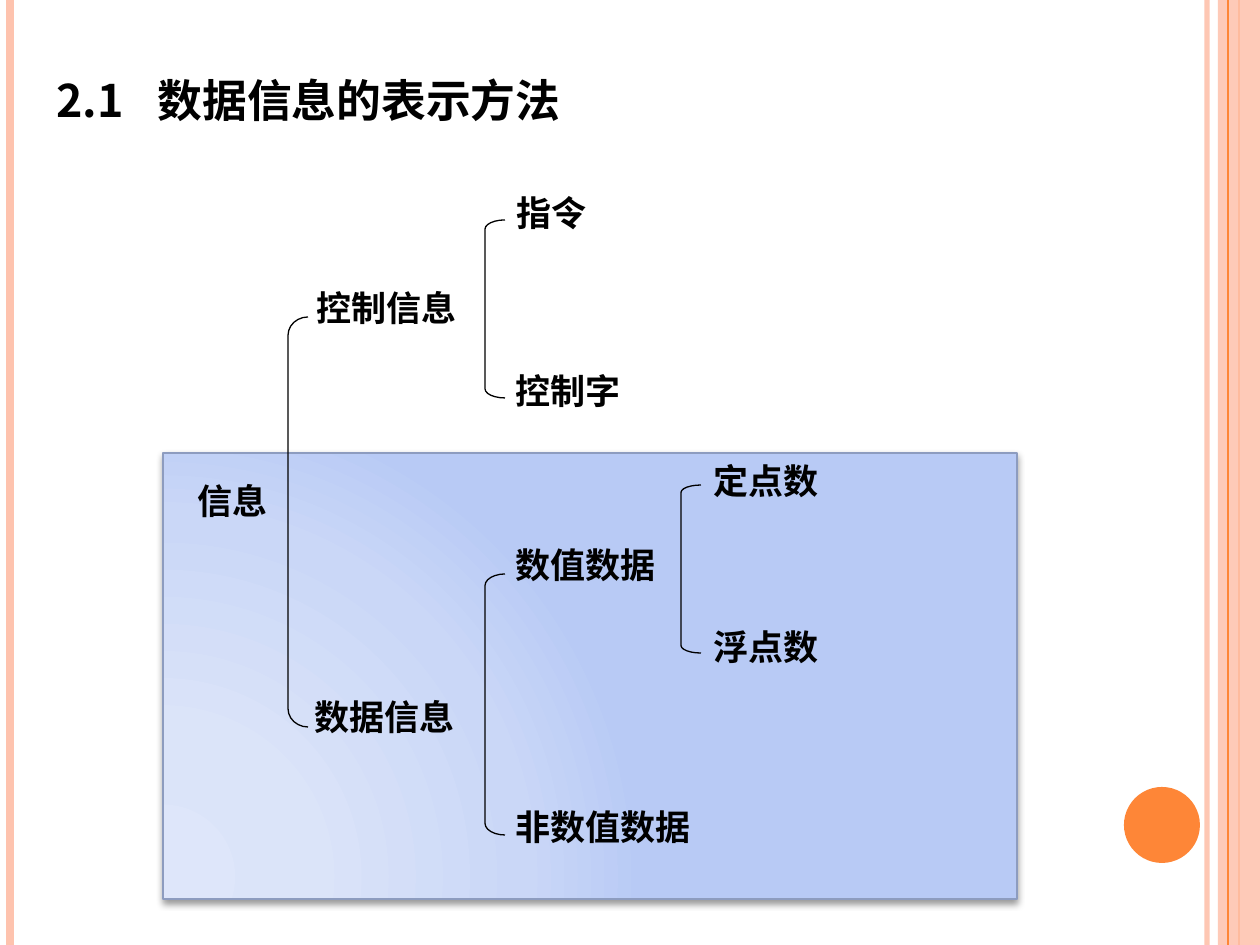
"""Build the slide that classifies information as a bracketed tree."""
from dataclasses import dataclass
from typing import Any

import pptx
import pptx.dml.color
import pptx.enum.shapes
import pptx.enum.text
import pptx.oxml
import pptx.oxml.ns
import pptx.util
from lxml import etree

PX = 914400 / 126
WIDTH, HEIGHT = 1260, 945
NS = 'xmlns:a="http://schemas.openxmlformats.org/drawingml/2006/main"'
SHAPE = pptx.enum.shapes.MSO_SHAPE
COLORS = {"ink": "000000", "peach": "FEC3AE", "orange": "FE8637", "panel_line": "8D9CBF"}
PANEL_STOPS = {0: "DEE6FA", 30: "DBE4F9", 75: "CAD7F7", 100: "B8CAF5"}
FONT_CJK = "Noto Sans CJK SC"
LABEL_FORMAT = {"name": "Times New Roman", "size": pptx.util.Pt(20), "bold": True}
TITLE_FORMAT = {"name": FONT_CJK, "size": pptx.util.Pt(32), "bold": True}


@dataclass
class Label:
    text: str
    x: int
    y: int
    w: int


@dataclass
class Bracket:
    x: int
    y: int
    h: int
    curve: float


@dataclass
class Stripe:
    x: int
    color: str
    width: float
    alpha: int = 100


LABELS = [
    Label("信息", 185, 473, 113),
    Label("控制信息", 304, 280, 186),
    Label("数据信息", 302, 689, 238),
    Label("数值数据", 503, 537, 186),
    Label("非数值数据", 503, 799, 248),
    Label("定点数", 701, 453, 207),
    Label("浮点数", 701, 619, 186),
    Label("指令", 504, 185, 217),
    Label("控制字", 503, 363, 176),
]
BRACKETS = [
    Bracket(681, 485, 168, 0.375),
    Bracket(485, 574, 261, 0.583),
    Bracket(485, 220, 178, 0.458),
    Bracket(288, 317, 410, 0.917),
]
OUTER_STRIPES = [
    Stripe(1207, "peach", 3, 93),
    Stripe(10, "peach", 4.5),
    Stripe(1239, "orange", 1.5),
]
BAND_STRIPE = Stripe(1228, "orange", 0.75)


def px(*values: int) -> list[int]:
    return [round(v * PX) for v in values]


def rgb(name: str) -> pptx.dml.color.RGBColor:
    return pptx.dml.color.RGBColor.from_string(COLORS[name])


def set_alpha(parent: Any, percent: int) -> None:
    color = next(parent.iter(pptx.oxml.ns.qn("a:srgbClr")))
    etree.SubElement(color, pptx.oxml.ns.qn("a:alpha")).set("val", str(percent * 1000))


def format_run(r: Any, values: dict[str, Any]) -> None:
    for key, value in values.items():
        setattr(r.font, key, value)
    r.font.color.rgb = rgb("ink")
    ea = etree.SubElement(r.font._element, pptx.oxml.ns.qn("a:ea"))
    ea.set("typeface", FONT_CJK)


def add_stripe(s: Any, stripe: Stripe) -> None:
    kind = pptx.enum.shapes.MSO_CONNECTOR.STRAIGHT
    line = s.shapes.add_connector(kind, *px(stripe.x, 0, stripe.x, HEIGHT))
    line.line.color.rgb = rgb(stripe.color)
    line.line.width = pptx.util.Pt(stripe.width)
    sp_pr = line._element.spPr
    if stripe.alpha < 100:
        set_alpha(sp_pr, stripe.alpha)
    etree.SubElement(sp_pr, pptx.oxml.ns.qn("a:effectLst"))


def add_solid(s: Any, kind: Any, box: tuple[int, ...], color: str) -> Any:
    sp = s.shapes.add_shape(kind, *px(*box))
    sp.shadow.inherit = False
    sp.fill.solid()
    sp.fill.fore_color.rgb = rgb(color)
    sp.line.fill.background()
    return sp


def add_panel(s: Any) -> None:
    sp = add_solid(s, SHAPE.RECTANGLE, (163, 453, 854, 446), "peach")
    sp.line.color.rgb = rgb("panel_line")
    sp.line.width = pptx.util.Pt(1)
    stops = "".join(
        f'<a:gs pos="{pos * 1000}"><a:srgbClr val="{color}"/></a:gs>'
        for pos, color in PANEL_STOPS.items()
    )
    gradient = pptx.oxml.parse_xml(
        f'<a:gradFill {NS} rotWithShape="1"><a:gsLst>{stops}</a:gsLst><a:path path="circle">'
        '<a:fillToRect l="5000" t="100000" r="120000" b="10000"/></a:path></a:gradFill>'
    )
    shadow = pptx.oxml.parse_xml(
        f'<a:outerShdw {NS} blurRad="50800" dist="25400" dir="5400000" rotWithShape="0">'
        f'<a:srgbClr val="{COLORS["ink"]}"><a:alpha val="40000"/></a:srgbClr></a:outerShdw>'
    )
    sp_pr = sp._element.spPr
    sp_pr.replace(sp_pr.find(pptx.oxml.ns.qn("a:solidFill")), gradient)
    sp_pr.find(pptx.oxml.ns.qn("a:effectLst")).append(shadow)


def add_label(s: Any, label: Label) -> None:
    tf = s.shapes.add_textbox(*px(label.x, label.y, label.w, 70)).text_frame
    tf.word_wrap = True
    r = tf.paragraphs[0].add_run()
    r.text = label.text
    format_run(r, LABEL_FORMAT)


def add_bracket(s: Any, bracket: Bracket) -> None:
    sp = s.shapes.add_shape(SHAPE.LEFT_BRACKET, *px(bracket.x, bracket.y, 20, bracket.h))
    sp.shadow.inherit = False
    sp.adjustments[0] = bracket.curve
    sp.fill.background()
    sp.line.color.rgb = rgb("ink")
    sp.line.width = pptx.util.Pt(0.75)


def fill_title(s: Any) -> None:
    sp = s.shapes.title
    sp.left, sp.top, sp.width, sp.height = px(44, 45, 1150, 90)
    tf = sp.text_frame
    tf.vertical_anchor = pptx.enum.text.MSO_ANCHOR.BOTTOM
    p = tf.paragraphs[0]
    p.alignment = pptx.enum.text.PP_ALIGN.LEFT
    tabs = etree.SubElement(p._p.get_or_add_pPr(), pptx.oxml.ns.qn("a:tabLst"))
    tab = etree.SubElement(tabs, pptx.oxml.ns.qn("a:tab"))
    tab.set("pos", str(px(101)[0]))
    tab.set("algn", "l")
    r = p.add_run()
    r.text = "2.1\t数据信息的表示方法"
    format_run(r, TITLE_FORMAT)
    r.font._element.set("cap", "small")


def main() -> None:
    prs = pptx.Presentation()
    prs.slide_width, prs.slide_height = px(WIDTH, HEIGHT)
    s = prs.slides.add_slide(prs.slide_layouts[5])
    fill_title(s)
    for stripe in OUTER_STRIPES:
        add_stripe(s, stripe)
    band = add_solid(s, SHAPE.RECTANGLE, (1218, 0, 42, HEIGHT), "peach")
    set_alpha(band._element.spPr, 87)
    add_stripe(s, BAND_STRIPE)
    add_solid(s, SHAPE.OVAL, (1124, 787, 76, 76), "orange")
    add_panel(s)
    for label in LABELS:
        add_label(s, label)
    for bracket in BRACKETS:
        add_bracket(s, bracket)
    prs.save("out.pptx")


if __name__ == "__main__":
    main()
